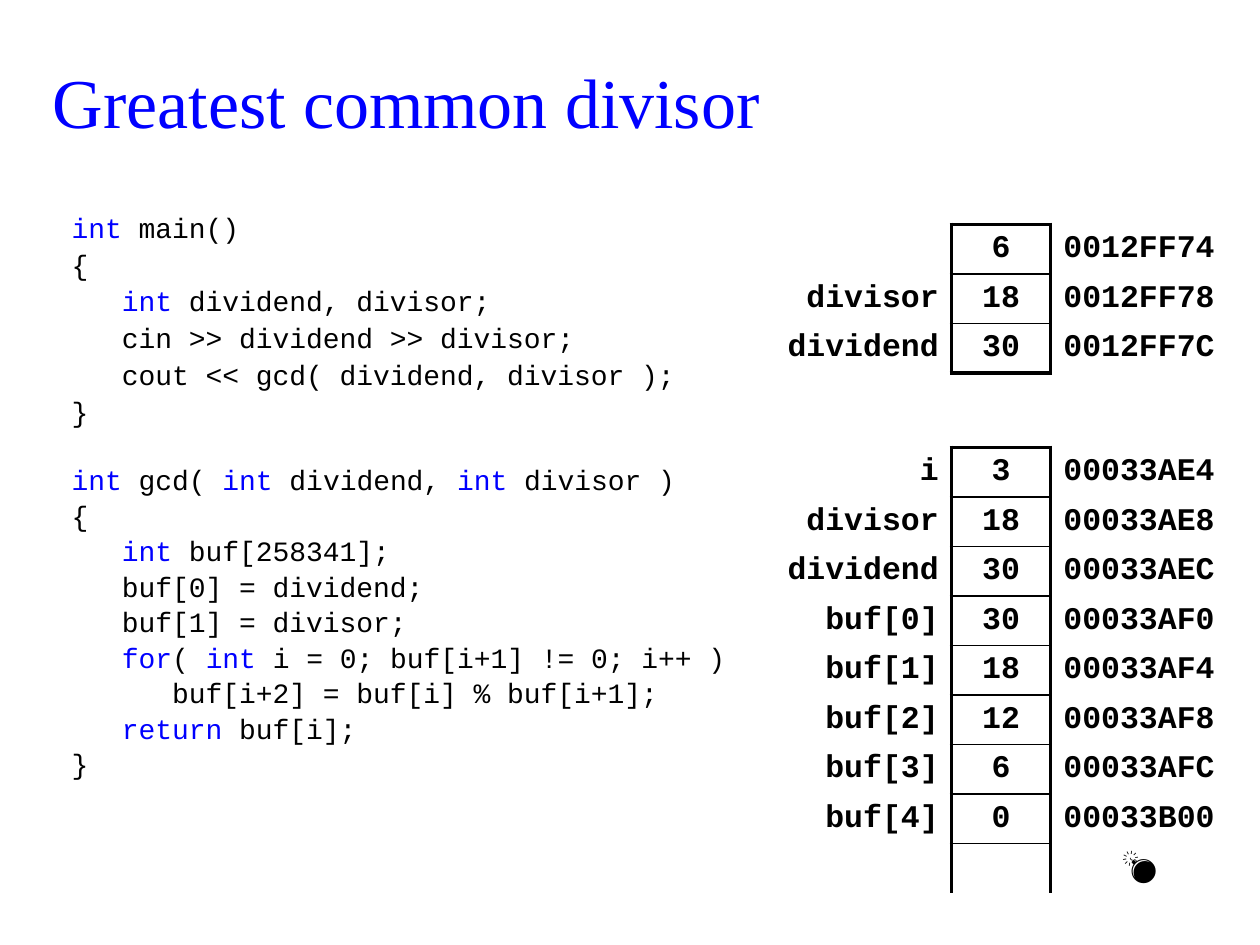
from lxml import etree
from pptx import Presentation
from pptx.dml.color import RGBColor
from pptx.enum.text import MSO_ANCHOR, PP_ALIGN
from pptx.oxml.ns import qn
from pptx.util import Inches, Pt

MIDDLE = MSO_ANCHOR.MIDDLE
ALIGNMENTS = [PP_ALIGN.RIGHT, PP_ALIGN.CENTER, PP_ALIGN.LEFT]
COLORS = {"keyword": "0000FF", "text": "000000"}
NO_STYLE = "{2D5ABB26-0587-4C30-8999-92F81FD0307C}"
CODE_FONT = "Courier New"
BOMB = "💣"
THICK, THIN = 2.25, 1


def style_font(font, name, size, color, bold=False):
    font.name = name
    font.size = Pt(size)
    font.bold = bold
    font.color.rgb = RGBColor.from_string(COLORS[color])


def set_borders(cell, widths):
    properties = cell._tc.get_or_add_tcPr()
    for position, side in enumerate("LRTB"):
        line = etree.Element(qn(f"a:ln{side}"))
        if side in widths:
            line.set("w", str(Pt(widths[side])))
            fill = etree.SubElement(line, qn("a:solidFill"))
            etree.SubElement(fill, qn("a:srgbClr"), val=COLORS["text"])
        else:
            etree.SubElement(line, qn("a:noFill"))
        properties.insert(position, line)


deck = Presentation()
deck.slide_width = Inches(10)
deck.slide_height = Inches(7.5)
page = deck.slides.add_slide(deck.slide_layouts[6])

title_box = page.shapes.add_textbox(Inches(0.27), Inches(0.21), Inches(5.91), Inches(1.18))
title_frame = title_box.text_frame
title_frame.word_wrap = True
title_frame.vertical_anchor = MIDDLE
title_frame.text = "Greatest common divisor"
title = title_frame.paragraphs[0]
title.alignment = PP_ALIGN.CENTER
style_font(title.runs[0].font, "Times New Roman", 40, "keyword")

main_code = [
    "|int| main()",
    "{",
    "   |int| dividend, divisor;",
    "   cin >> dividend >> divisor;",
    "   cout << gcd( dividend, divisor );",
    "}",
]
gcd_code = [
    "|int| gcd( |int| dividend, |int| divisor )",
    "{",
    "   |int| buf[258341];",
    "   buf[0] = dividend;",
    "   buf[1] = divisor;",
    "   |for|( |int| i = 0; buf[i+1] != 0; i++ )",
    "      buf[i+2] = buf[i] % buf[i+1];",
    "   |return| buf[i];",
    "}",
]
code_box = page.shapes.add_textbox(Inches(0.47), Inches(1.58), Inches(5.51), Inches(4.53))
code_frame = code_box.text_frame
code_frame.word_wrap = True
code_frame.margin_top = Inches(0.09)
for function, first_gap, line_gap in [(main_code, 0, 1.8), (gcd_code, 20, 1.1)]:
    for number, code_line in enumerate(function):
        if function is main_code and number == 0:
            para = code_frame.paragraphs[0]
        else:
            para = code_frame.add_paragraph()
        para.space_before = Pt(line_gap if number else first_gap)
        for index, part in enumerate(code_line.split("|")):
            if part:
                span = para.add_run()
                span.text = part
                style_font(span.font, CODE_FONT, 16, "keyword" if index % 2 else "text")

gcd_memory = [
    ("i", "3", "00033AE4"),
    ("divisor", "18", "00033AE8"),
    ("dividend", "30", "00033AEC"),
    ("buf[0]", "30", "00033AF0"),
    ("buf[1]", "18", "00033AF4"),
    ("buf[2]", "12", "00033AF8"),
    ("buf[3]", "6", "00033AFC"),
    ("buf[4]", "0", "00033B00"),
    ("", "", BOMB),
]
main_memory = [
    ("", "6", "0012FF74"),
    ("divisor", "18", "0012FF78"),
    ("dividend", "30", "0012FF7C"),
]
column_widths = [1.57, 0.79, 1.38]
row_height = Inches(1.18 / 3)
for memory, top, bottom_border in [(gcd_memory, 3.55, None), (main_memory, 1.78, THICK)]:
    frame = page.shapes.add_table(
        len(memory), 3, Inches(5.98), Inches(top),
        Inches(sum(column_widths)), row_height * len(memory))
    table = frame.table
    table.first_row = False
    table.horz_banding = False
    table._tbl.tblPr.find(qn("a:tableStyleId")).text = NO_STYLE
    for column, width in zip(table.columns, column_widths):
        column.width = Inches(width)
    for row_index, values in enumerate(memory):
        table.rows[row_index].height = row_height
        last_row = row_index == len(memory) - 1
        for column_index, value in enumerate(values):
            cell = table.cell(row_index, column_index)
            cell.vertical_anchor = MIDDLE
            is_bomb = value == BOMB
            cell.margin_top = cell.margin_bottom = Inches(0 if is_bomb else 0.04)
            cell.margin_left = Inches(0.1)
            cell.margin_right = Inches(0.07 if column_index == 2 else 0.1)
            cell.text_frame.text = value
            para = cell.text_frame.paragraphs[0]
            para.alignment = PP_ALIGN.CENTER if is_bomb else ALIGNMENTS[column_index]
            for span in para.runs:
                style_font(span.font, CODE_FONT, 20 if is_bomb else 18, "text", not is_bomb)
            borders = [{"R": THICK}, {"L": THICK, "R": THICK}, {"L": THICK}][column_index]
            if column_index == 1:
                borders["T"] = THIN if row_index else THICK
                bottom = bottom_border if last_row else THIN
                if bottom:
                    borders["B"] = bottom
            set_borders(cell, borders)
            cell.fill.background()

deck.save("out.pptx")
